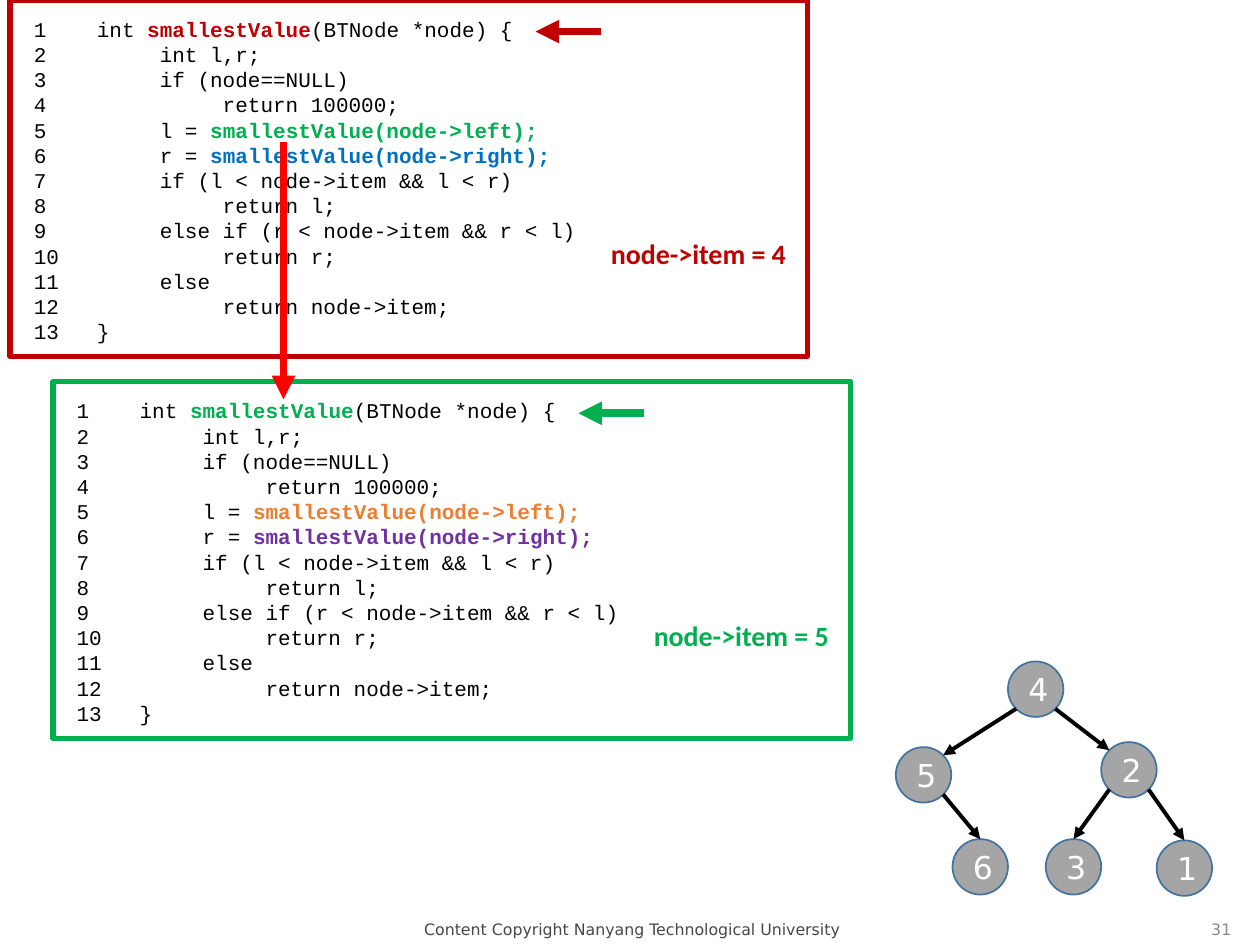
import math
from dataclasses import dataclass

import pptx
import pptx.util
import pptx.dml.color
import pptx.enum.shapes
import pptx.enum.text
import pptx.oxml

Inches = pptx.util.Inches
Pt = pptx.util.Pt
Shape = pptx.enum.shapes.MSO_SHAPE
Align = pptx.enum.text.PP_ALIGN
Anchor = pptx.enum.text.MSO_ANCHOR


@dataclass(frozen=True)
class Theme:
    mono: str = "Courier New"
    sans: str = "DejaVu Sans"
    label: str = "Calibri"
    black: str = "000000"
    white: str = "FFFFFF"
    node: str = "A5A5A5"
    rim: str = "43739E"
    red: str = "C00000"
    green: str = "00B050"
    blue: str = "0070C0"
    orange: str = "ED7D31"
    purple: str = "7030A0"
    call: str = "FF0000"
    foot: str = "474747"
    page: str = "898989"
    small: float = 9
    code: float = 12
    lead: float = 14.4
    item: float = 16
    digit: float = 18


CODE = """int @smallestValue@(BTNode *node) {
     int l,r;
     if (node==NULL)
          return 100000;
     l = @smallestValue(node->left);@
     r = @smallestValue(node->right);@
     if (l < node->item && l < r)
          return l;
     else if (r < node->item && r < l)
          return r;
     else
          return node->item;
}""".split("\n")

SIZE = 0.44  # diameter of a tree node
NODES = {"4": (8, 5.25), "5": (7.11, 5.93), "6": (7.56, 6.66),
         "2": (8.74, 5.89), "1": (9.18, 6.67), "3": (8.3, 6.66)}
EDGES = ["45", "42", "56", "23", "21"]


def color(code):
    return pptx.dml.color.RGBColor.from_string(code)


class Deck:
    def __init__(self, theme):
        self.theme = theme
        self.file = pptx.Presentation()
        self.file.slide_width, self.file.slide_height = Inches(10), Inches(7.5)
        self.slide = self.file.slides.add_slide(self.file.slide_layouts[6])

    def style(self, font, face, size, tint, bold=False):
        font.name, font.size, font.bold = face, Pt(size), bold
        font.color.rgb = color(tint)

    def text(self, box, words, face, size, tint, align=Align.LEFT, bold=False):
        shape = self.slide.shapes.add_textbox(*map(Inches, box))
        frame = shape.text_frame
        frame.word_wrap = True
        frame.text = words
        for para in frame.paragraphs:
            para.alignment = align
            self.style(para.font, face, size, tint, bold)
        return shape

    def shape(self, kind, box, fill, line, width):
        shape = self.slide.shapes.add_shape(kind, *map(Inches, box))
        shape.shadow.inherit = False
        shape.fill.solid()
        shape.fill.fore_color.rgb = color(fill)
        shape.line.color.rgb = color(line)
        shape.line.width = Pt(width)
        return shape

    def arrow(self, start, end, tint, width):
        line = self.slide.shapes.add_connector(
            pptx.enum.shapes.MSO_CONNECTOR.STRAIGHT,
            *map(Inches, (*start, *end)))
        line.line.color.rgb = color(tint)
        line.line.width = Pt(width)
        space = pptx.oxml.ns.qn
        tail = line.line._get_or_add_ln().makeelement(
            space("a:tailEnd"), {"type": "triangle"})
        line.line._get_or_add_ln().append(tail)
        props = line._element.spPr
        props.append(props.makeelement(space("a:effectLst"), {}))

    def code(self, box, hues):
        """Write the listing, giving each marked call the next hue."""
        shape = self.text(box, "\n".join(CODE), self.theme.mono,
                          self.theme.code, self.theme.black)
        hues = iter(hues)
        for para, row in zip(shape.text_frame.paragraphs, CODE):
            para.line_spacing = Pt(self.theme.lead)
            if "@" not in row:
                continue
            para.clear()
            for spot, part in enumerate(row.split("@")):
                if not part:
                    continue
                run = para.add_run()
                run.text = part
                if spot == 1:
                    run.font.bold = True
                    run.font.color.rgb = color(next(hues))

    def frame(self, left, top, item, hues):
        """Draw one call: its listing, line numbers, value and marker."""
        look, main = self.theme, hues[0]
        self.shape(Shape.RECTANGLE, (left, top, 6.33, 2.83),
                   look.white, main, 3)
        self.code((left + 0.59, top + 0.08, 4.25, 2.73), hues)
        count = "\n".join(str(n + 1) for n in range(len(CODE)))
        rows = self.text((left + 0.09, top + 0.08, 0.5, 2.73), count,
                         look.mono, look.code, look.black)
        for para in rows.text_frame.paragraphs:
            para.line_spacing = Pt(look.lead)
        note = self.text((left + 4.67, top + 1.83, 1.61, 0.37),
                         f"node->item = {item}", look.label, look.item,
                         main, bold=True)
        note.text_frame.word_wrap = False
        self.arrow((left + 4.69, top + 0.25), (left + 4.17, top + 0.25),
                   main, 4.5)

    def node(self, name):
        look = self.theme
        disc = self.shape(Shape.OVAL, (*NODES[name], SIZE, SIZE),
                          look.node, look.rim, 1)
        frame = disc.text_frame
        frame.text = name
        frame.vertical_anchor = Anchor.MIDDLE
        para = frame.paragraphs[0]
        para.alignment = Align.CENTER
        self.style(para.font, look.sans, look.digit, look.white)

    def edge(self, tail, head):
        """Leave a parent diagonally; meet a leaf on top, others diagonally."""
        half = SIZE / 2
        slant = half * math.sqrt(0.5)
        (px, py), (cx, cy) = ((x + half, y + half)
                              for x, y in (NODES[tail], NODES[head]))
        side = math.copysign(slant, cx - px)
        leaf = all(pair[0] != head for pair in EDGES)
        end = (cx, cy - half) if leaf else (cx - side, cy - slant)
        self.arrow((px + side, py + slant), end, self.theme.black, 2.25)


def main():
    look = Theme()
    deck = Deck(look)
    deck.text((2.91, 7.25, 4.21, 0.25),
              "Content Copyright Nanyang Technological University",
              look.sans, look.small, look.foot, Align.CENTER)
    page = deck.text((7.95, 7.23, 1.92, 0.29), "31",
                     look.sans, look.small, look.page, Align.RIGHT)
    page.text_frame.vertical_anchor = Anchor.MIDDLE
    for name in NODES:
        deck.node(name)
    for tail, head in EDGES:
        deck.edge(tail, head)
    deck.frame(0.08, 0, 4, (look.red, look.green, look.blue))
    deck.frame(0.42, 3.03, 5, (look.green, look.orange, look.purple))
    deck.arrow((2.25, 1.13), (2.25, 3.17), look.call, 4.5)
    deck.file.save("out.pptx")


if __name__ == "__main__":
    main()
